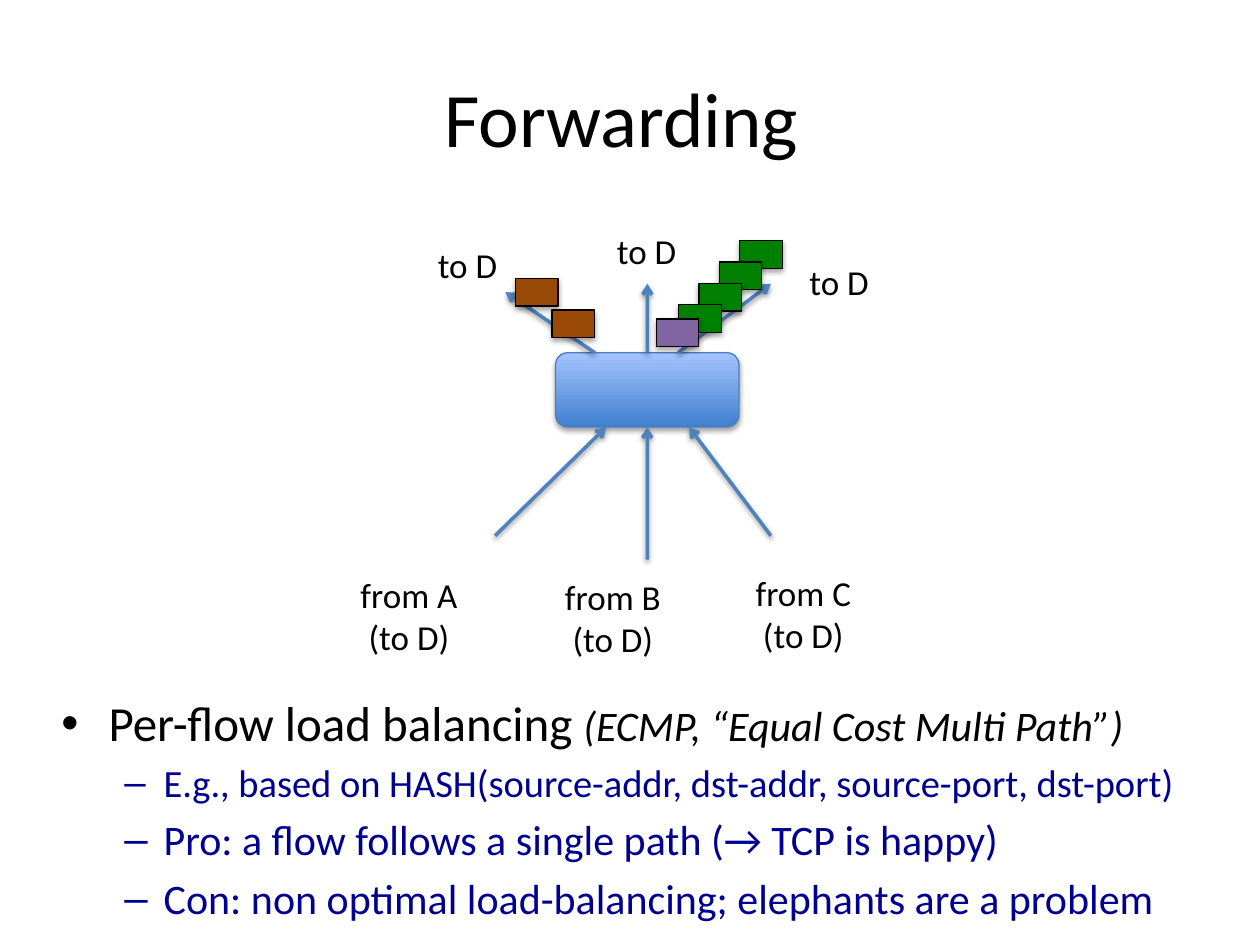
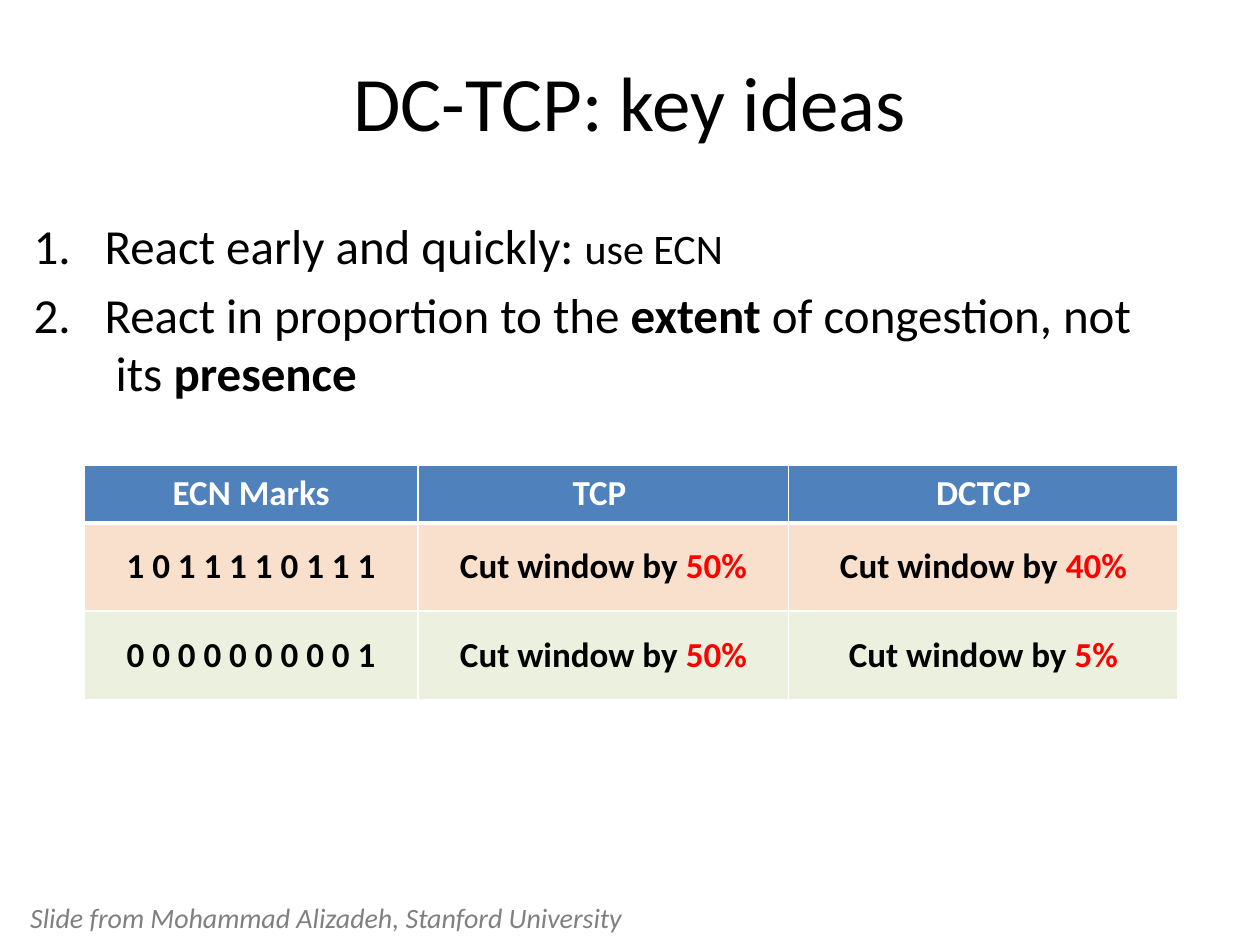
from lxml.etree import SubElement
from pptx import Presentation
from pptx.dml.color import RGBColor
from pptx.enum.shapes import MSO_CONNECTOR, MSO_SHAPE
from pptx.enum.text import MSO_ANCHOR, PP_ALIGN
from pptx.oxml.ns import qn
from pptx.util import Cm, Pt

HUES = {
    "ink": "000000", "white": "FFFFFF", "navy": "000090", "red": "FF0000",
    "grey": "808080", "blue": "4F81BD", "edge": "4B7EBC", "deep": "3F80CE",
    "light": "A4C4FF", "green": "008000", "brown": "984807",
    "purple": "8064A2", "peach": "F9E0CD", "lime": "EBF1DE",
}
RGB = {name: RGBColor.from_string(code) for name, code in HUES.items()}
FONT = "Calibri"


def write(para, text, size=20, hue="ink", bold=False, italic=False):
    """Add text to a paragraph; a newline becomes a line break."""
    for count, line in enumerate(text.split("\n")):
        if count:
            para.add_line_break()
        run = para.add_run()
        run.text = line
        font = run.font
        font.name, font.size = FONT, Pt(size)
        font.bold, font.italic = bold, italic
        font.color.rgb = RGB[hue]


def shade(item, alpha=35, gap=1.8):
    """Give a shape or connector a soft shadow below it."""
    props = item._element.spPr
    for old in props.findall(qn("a:effectLst")):
        props.remove(old)
    drop = SubElement(SubElement(props, qn("a:effectLst")), qn("a:outerShdw"),
                      blurRad=str(Pt(3.1)), dist=str(Pt(gap)),
                      dir="5400000", rotWithShape="0")
    tint = SubElement(drop, qn("a:srgbClr"), val=HUES["ink"])
    SubElement(tint, qn("a:alpha"), val=str(alpha * 1000))


prs = Presentation()
prs.slide_width, prs.slide_height = Cm(25.4), Cm(19.05)

# Slides and titles
slides = []
for text, top in [("Forwarding ", 0.76), ("DC-TCP: key ideas", 0.43)]:
    slide = prs.slides.add_slide(prs.slide_layouts[5])
    title = slide.shapes.title
    title.left, title.top = Cm(1.27), Cm(top)
    title.width, title.height = Cm(22.86), Cm(3.18)
    title.text_frame.vertical_anchor = MSO_ANCHOR.MIDDLE
    para = title.text_frame.paragraphs[0]
    para.alignment = PP_ALIGN.CENTER
    write(para, text, size=44)
    slides.append(slide)
flow, ideas = slides

# Bullet text: mark, left margin, hanging indent, runs
DOT = ("buChar", {"char": "•"}, 0.95, 0.95)
DASH = ("buChar", {"char": "–"}, 2.06, 0.79)
NUM = ("buAutoNum", {"type": "arabicPeriod"}, 1.43, 1.43)
big, mid = {"size": 28}, {"size": 24}
sub = {"size": 24, "hue": "navy"}
bodies = [
    (flow, (0.99, 13.84, 23.27, 4.7), [
        (DOT, [("Per-flow load balancing ", big),
               ("(ECMP, “Equal Cost Multi Path”)", {"size": 24, "italic": True})]),
        (DASH, [("E.g., based on HASH(source-addr, dst-addr, source-port, dst-port)",
                 {"size": 22, "hue": "navy"})]),
        (DASH, [("Pro: a flow follows a single path (→ TCP is happy)", sub)]),
        (DASH, [("Con: non optimal load-balancing; elephants are a problem", sub)]),
    ]),
    (ideas, (0.43, 4.22, 24.97, 4.5), [
        (NUM, [("React early and quickly: ", big), ("use ECN", mid)]),
        (NUM, [("React in proportion to the ", big),
               ("extent", {"size": 28, "bold": True}),
               (" of congestion, not\n its ", big),
               ("presence", {"size": 28, "bold": True})]),
    ]),
]
for slide, spot, items in bodies:
    frame = slide.shapes.add_textbox(*map(Cm, spot)).text_frame
    frame.word_wrap = True
    for count, ((tag, mark, left, hang), runs) in enumerate(items):
        para = frame.add_paragraph() if count else frame.paragraphs[0]
        props = para._p.get_or_add_pPr()
        props.set("marL", str(Cm(left)))
        props.set("indent", str(-Cm(hang)))
        if count:
            para.space_before = Pt(0.2 * runs[0][1]["size"])
        SubElement(props, qn("a:buFont"), typeface="Arial")
        SubElement(props, qn("a:" + tag), **mark)
        for text, form in runs:
            write(para, text, **form)

# Router
router = flow.shapes.add_shape(MSO_SHAPE.ROUNDED_RECTANGLE,
                               Cm(11.2), Cm(7.11), Cm(3.7), Cm(1.5))
router.fill.gradient()
router.fill.gradient_angle = 90
for stop, hue in zip(router.fill.gradient_stops, ("deep", "light")):
    stop.color.rgb = RGB[hue]
router.line.color.rgb, router.line.width = RGB["edge"], Pt(0.75)
shade(router)

# Links: start, end, joined side of the router at start and end
high, low, axis = 7.11, 8.61, 13.05
links = [
    (11.99, high, 10.19, 5.89, None, None),
    (axis, high, axis, 5.72, 0, None),
    (13.67, high, 15.54, 5.72, None, None),
    (9.98, 10.8, 12.22, low, None, None),
    (axis, 11.28, axis, low, None, 2),
    (15.54, 10.8, 13.89, low, None, None),
]
for *ends, first, last in links:
    link = flow.shapes.add_connector(MSO_CONNECTOR.STRAIGHT, *map(Cm, ends))
    if first is not None:
        link.begin_connect(router, first)
    if last is not None:
        link.end_connect(router, last)
    link.line.color.rgb, link.line.width = RGB["blue"], Pt(2)
    SubElement(link.line._get_or_add_ln(), qn("a:tailEnd"), type="arrow")
    shade(link, alpha=38, gap=1.6)

# Packets
packs = [("green", 14.91 - 0.41 * n, 4.85 + 0.43 * n) for n in range(4)]
packs += [("brown", 10.39, 5.61), ("brown", 11.13, 6.25), ("purple", 13.23, 6.43)]
for hue, left, top in packs:
    pack = flow.shapes.add_shape(MSO_SHAPE.RECTANGLE,
                                 Cm(left), Cm(top), Cm(0.86), Cm(0.56))
    pack.fill.solid()
    pack.fill.fore_color.rgb = RGB[hue]
    pack.line.color.rgb, pack.line.width = RGB["ink"], Pt(0.75)
    shade(pack)

# Labels and credit line
mid_row, cred = PP_ALIGN.CENTER, {"size": 16, "hue": "grey", "italic": True}
labels = [(flow, "to D", (x, y, 1.73, 1.12), mid_row, {})
          for x, y in [(12.17, 4.5), (8.56, 4.78), (16.05, 5.13)]]
labels += [(flow, f"from {name}\n(to D)", (x, y, 2.51, 1.96), mid_row, {})
           for name, x, y in [("A", 6.99, 11.43), ("B", 11.1, 11.48), ("C", 14.94, 11.4)]]
labels.append((ideas, "Slide from Mohammad Alizadeh, Stanford University",
               (0.36, 18.03, 12.75, 0.94), PP_ALIGN.LEFT, cred))
for slide, text, spot, align, form in labels:
    frame = slide.shapes.add_textbox(*map(Cm, spot)).text_frame
    frame.word_wrap = False
    frame.paragraphs[0].alignment = align
    write(frame.paragraphs[0], text, **form)

# Table of window cuts
cut = "Cut window by "
rows = [
    ("blue", "white", 1.17, [("ECN Marks", ""), ("TCP ", ""), ("DCTCP", "")]),
    ("peach", "ink", 1.78, [("1 0 1 1 1 1 0 1 1 1", ""), (cut, "50%"), (cut, "40%")]),
    ("lime", "ink", 1.78, [("0 0 0 0 0 0 0 0 0 1", ""), (cut, "50%"), (cut, "5%")]),
]
wide = [6.73, 7.47, 7.85]
grid = ideas.shapes.add_table(len(rows), len(wide), Cm(1.7), Cm(9.37),
                              Cm(sum(wide)), Cm(4.73)).table
for col, width in zip(grid.columns, wide):
    col.width = Cm(width)
for r, (fill, hue, tall, cells) in enumerate(rows):
    grid.rows[r].height = Cm(tall)
    for c, (text, rate) in enumerate(cells):
        cell = grid.cell(r, c)
        cell.vertical_anchor = MSO_ANCHOR.MIDDLE
        cell.margin_left = cell.margin_right = Cm(0.3)
        cell.margin_top = cell.margin_bottom = Cm(0.15)
        props = cell._tc.get_or_add_tcPr()
        for side in "LRTB":
            thick = 3 if (r, side) in [(0, "B"), (1, "T")] else 1
            edge = SubElement(props, qn("a:ln" + side), w=str(Pt(thick)))
            paint = SubElement(edge, qn("a:solidFill"))
            SubElement(paint, qn("a:srgbClr"), val=HUES["white"])
        cell.fill.solid()
        cell.fill.fore_color.rgb = RGB[fill]
        para = cell.text_frame.paragraphs[0]
        para.alignment = PP_ALIGN.CENTER
        write(para, text, hue=hue, bold=True)
        if rate:
            write(para, rate, hue="red", bold=True)

prs.save("out.pptx")
